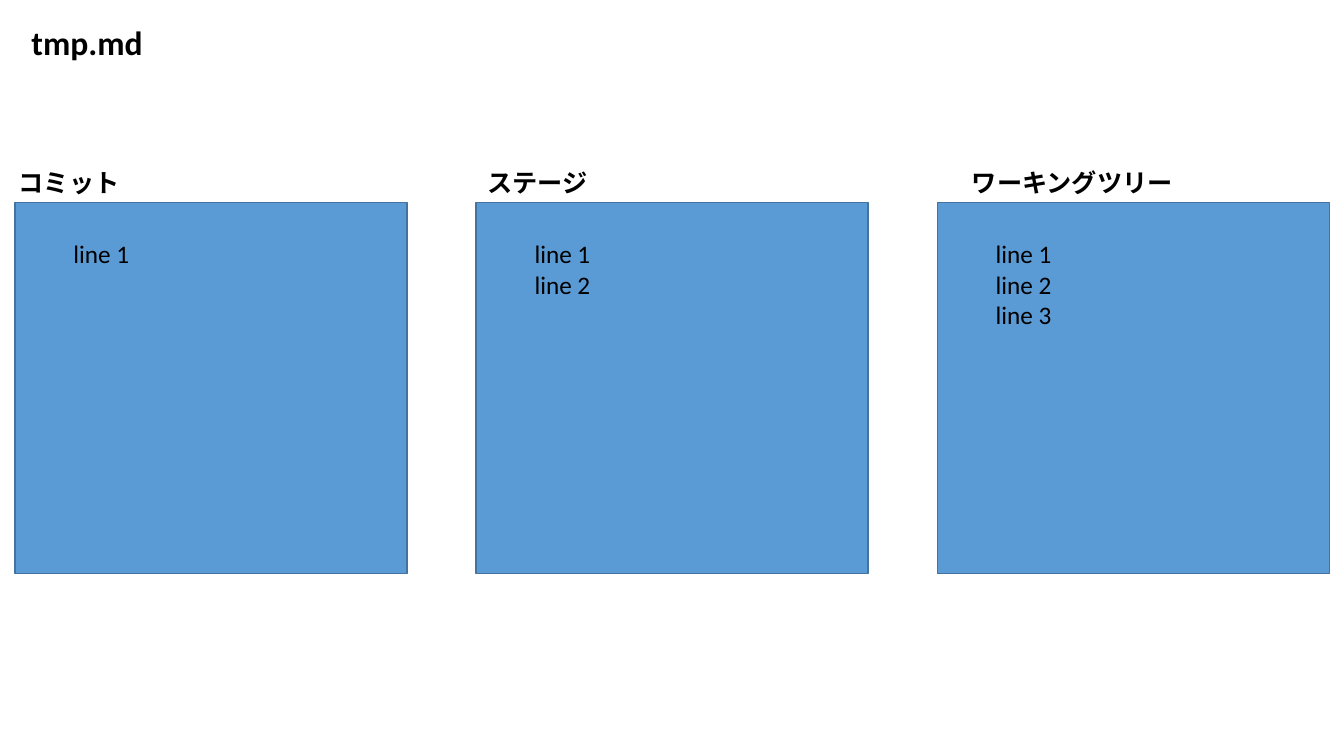
from pptx import Presentation
from pptx.dml.color import RGBColor
from pptx.enum.shapes import MSO_SHAPE
from pptx.enum.text import MSO_ANCHOR, MSO_AUTO_SIZE, PP_ALIGN
from pptx.util import Cm, Pt

COLORS = {"panel": "5B9BD5", "border": "43739E", "text": "000000"}
TITLE_FORMAT = {"name": "Calibri", "size": Pt(24), "bold": True}
HEADING_FORMAT = {"name": "Calibri", "size": Pt(18), "bold": True}
LINE_FORMAT = {"name": "Calibri", "size": Pt(18), "bold": False}

# Each stage: heading, heading left, heading width, number of file lines
STAGES = [
    ("コミット", 0, 3.48, 1),
    ("ステージ", 11.81, 3.48, 2),
    ("ワーキングツリー", 23.62, 6.81, 3),
]
PANEL_LEFT, PANEL_TOP, PANEL_WIDTH, PANEL_HEIGHT = 0.38, 5.11, 9.88, 9.35
PANEL_STEP = 11.62
LINE_OFFSET, LINE_TOP, LINE_WIDTH, LINE_HEIGHT = 0.46, 5.89, 3.43, 0.76


def write_text(box, lines, font_format):
    frame = box.text_frame
    frame.word_wrap = False
    frame.auto_size = MSO_AUTO_SIZE.NONE
    frame.vertical_anchor = MSO_ANCHOR.TOP
    for index, line in enumerate(lines):
        para = frame.add_paragraph() if index else frame.paragraphs[0]
        para.alignment = PP_ALIGN.CENTER
        span = para.add_run()
        span.text = line
        for key, value in font_format.items():
            setattr(span.font, key, value)
        span.font.color.rgb = RGBColor.from_string(COLORS["text"])


deck = Presentation()
deck.slide_width, deck.slide_height = Cm(33.87), Cm(19.05)
page = deck.slides.add_slide(deck.slide_layouts[5])

# File name as the title
title = page.shapes.title
title.left, title.top, title.width, title.height = Cm(0.48), Cm(0.43), Cm(3.43), Cm(1.28)
write_text(title, ["tmp.md"], TITLE_FORMAT)

# One panel with heading and file lines per stage
for column, (heading, heading_left, heading_width, line_count) in enumerate(STAGES):
    left = PANEL_LEFT + column * PANEL_STEP
    panel = page.shapes.add_shape(
        MSO_SHAPE.RECTANGLE, Cm(left), Cm(PANEL_TOP), Cm(PANEL_WIDTH), Cm(PANEL_HEIGHT))
    panel.shadow.inherit = False
    panel.fill.solid()
    panel.fill.fore_color.rgb = RGBColor.from_string(COLORS["panel"])
    panel.line.color.rgb = RGBColor.from_string(COLORS["border"])
    panel.line.width = Pt(1)

    heading_box = page.shapes.add_textbox(
        Cm(heading_left), Cm(4.09), Cm(heading_width), Cm(1.02))
    write_text(heading_box, [heading], HEADING_FORMAT)

    lines_box = page.shapes.add_textbox(
        Cm(left + LINE_OFFSET), Cm(LINE_TOP), Cm(LINE_WIDTH),
        Cm(0.26 + line_count * LINE_HEIGHT))
    write_text(lines_box, [f"line {number + 1}" for number in range(line_count)], LINE_FORMAT)

deck.save("out.pptx")
